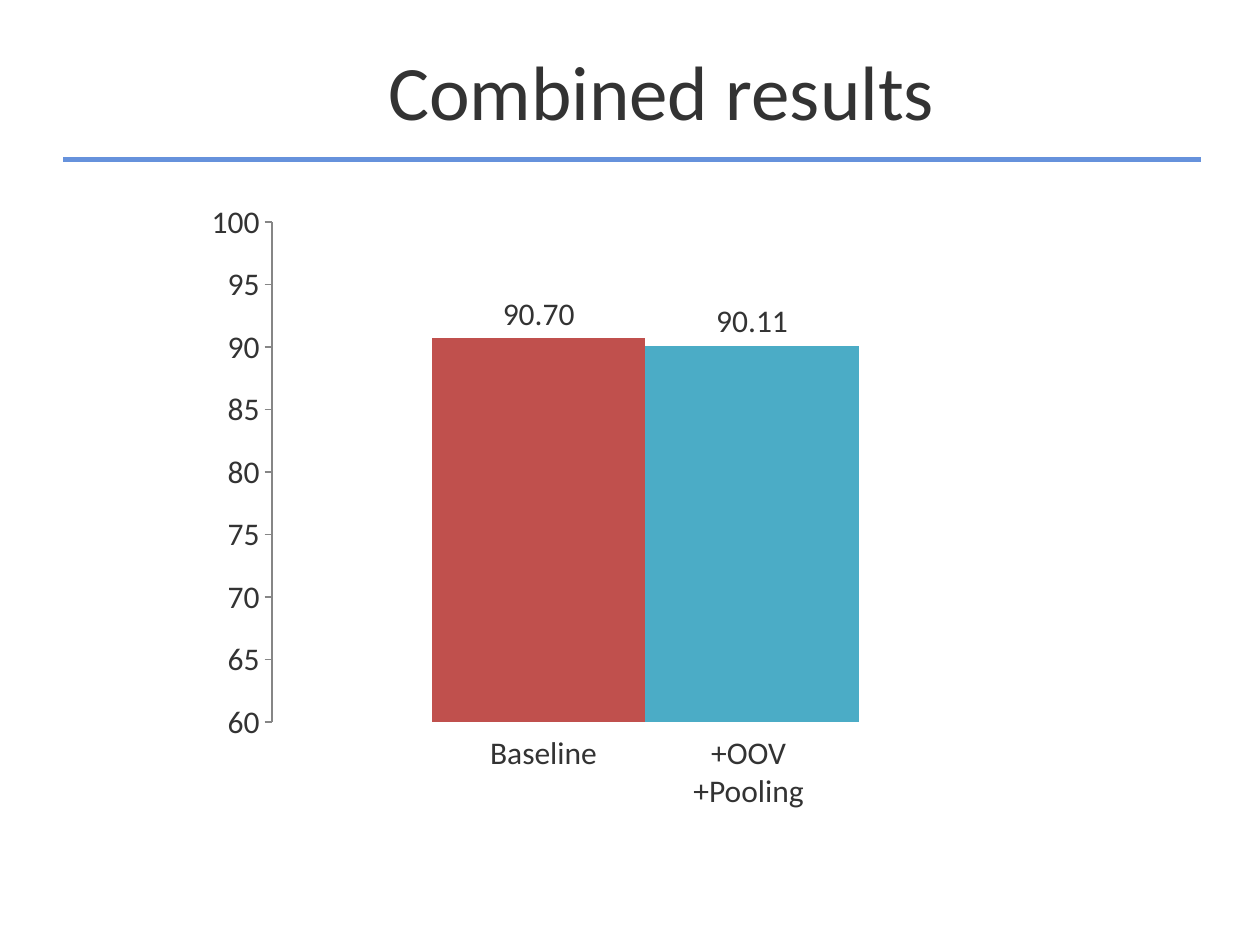
from lxml import etree
from pptx import Presentation
from pptx import util as u
from pptx.chart.data import CategoryChartData
from pptx.dml.color import RGBColor
from pptx.enum import chart as charts, shapes, text
from pptx.oxml import ns

PX = u.Inches(1) / 126
COLORS = {"ink": "333333", "rule": "6692DC", "axis": "868686",
          "baseline": "C0504D", "pooling": "4BACC6"}


def emu(*lengths):
    return [round(length * PX) for length in lengths]


class Page:
    font = "Calibri"

    def __init__(self, deck):
        self.slide = deck.slides.add_slide(deck.slide_layouts[6])

    def color(self, name):
        return RGBColor.from_string(COLORS[name])

    def style(self, font, size):
        font.name = self.font
        font.size = u.Pt(size)
        font.color.rgb = self.color("ink")

    def bar(self, area, fill):
        shape = self.slide.shapes.add_shape(shapes.MSO_SHAPE.RECTANGLE, *emu(*area))
        shape.shadow.inherit = False
        shape.fill.solid()
        shape.fill.fore_color.rgb = self.color(fill)
        shape.line.fill.background()

    def label(self, area, lines, size=18, anchor=text.MSO_ANCHOR.TOP):
        frame = self.slide.shapes.add_textbox(*emu(*area)).text_frame
        frame.word_wrap = True
        frame.vertical_anchor = anchor
        for index, line in enumerate(lines):
            para = frame.add_paragraph() if index else frame.paragraphs[0]
            para.alignment = text.PP_ALIGN.CENTER
            span = para.add_run()
            span.text = line
            self.style(span.font, size)

    def columns(self, area, plot_area, series, low, high, step):
        """Add one cluster of columns; series holds (name, value, color)."""
        data = CategoryChartData(number_format="#,##0.00")
        data.categories = ["1"]
        for name, value, _ in series:
            data.add_series(name, [value])
        chart = self.slide.shapes.add_chart(
            charts.XL_CHART_TYPE.COLUMN_CLUSTERED, *emu(*area), data).chart
        chart.has_legend = chart.has_title = False
        self.style(chart.font, 18)
        chart.category_axis.visible = False
        axis = chart.value_axis
        axis.minimum_scale, axis.maximum_scale, axis.major_unit = low, high, step
        axis.has_major_gridlines = False
        axis.major_tick_mark = charts.XL_TICK_MARK.OUTSIDE
        axis.format.line.color.rgb = self.color("axis")
        axis.tick_labels.number_format = "0"
        axis.tick_labels.number_format_is_linked = False
        plot = chart.plots[0]
        plot.gap_width, plot.overlap, plot.vary_by_categories = 150, 0, False
        for column, (_, _, fill) in zip(plot.series, series):
            column.format.fill.solid()
            column.format.fill.fore_color.rgb = self.color(fill)
            labels = column.data_labels
            labels.show_value = True
            labels.number_format = "#,##0.00"
            labels.number_format_is_linked = False
            labels.position = charts.XL_LABEL_POSITION.OUTSIDE_END
            self.style(labels.font, 18)
        self.place_plot(chart, area, plot_area)

    def place_plot(self, chart, area, plot_area):
        """Fix the inside of the axes at plot_area, given in slide px."""
        left, top, width, height = area
        x, y, w, h = plot_area
        box = chart.element.find(".//" + ns.qn("c:plotArea"))
        for old in box.findall(ns.qn("c:layout")):
            box.remove(old)
        layout = etree.Element(ns.qn("c:layout"))
        manual = etree.SubElement(layout, ns.qn("c:manualLayout"))
        settings = {"layoutTarget": "inner", "xMode": "edge", "yMode": "edge",
                    "x": (x - left) / width, "y": (y - top) / height,
                    "w": w / width, "h": h / height}
        for tag, value in settings.items():
            etree.SubElement(manual, ns.qn("c:" + tag)).set("val", str(value))
        box.insert(0, layout)


def main():
    deck = Presentation()
    deck.slide_width, deck.slide_height = emu(1260, 945)
    page = Page(deck)
    page.bar((63, 157, 1138, 5), "rule")
    page.label((168, 20, 987, 139), ["Combined results"], 44, text.MSO_ANCHOR.MIDDLE)
    page.columns((195, 193, 840, 559), (272, 222, 747, 500),
                 [("Series 1", 90.70, "baseline"), ("Series 2", 90.11, "pooling")],
                 60, 100, 5)
    page.label((441, 727, 205, 50), ["Baseline"])
    page.label((646, 727, 205, 89), ["+OOV", "+Pooling"])
    deck.save("out.pptx")


if __name__ == "__main__":
    main()
